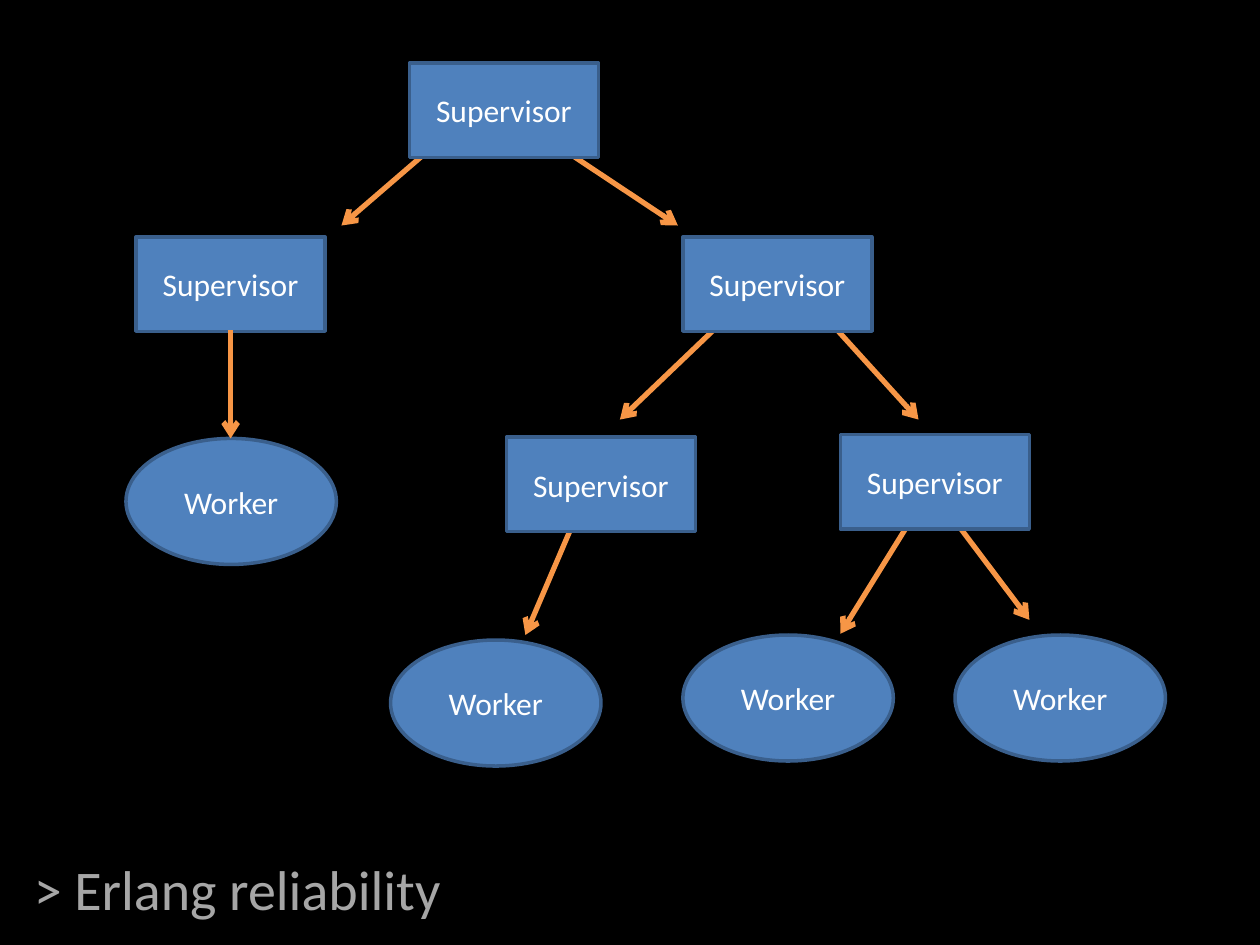
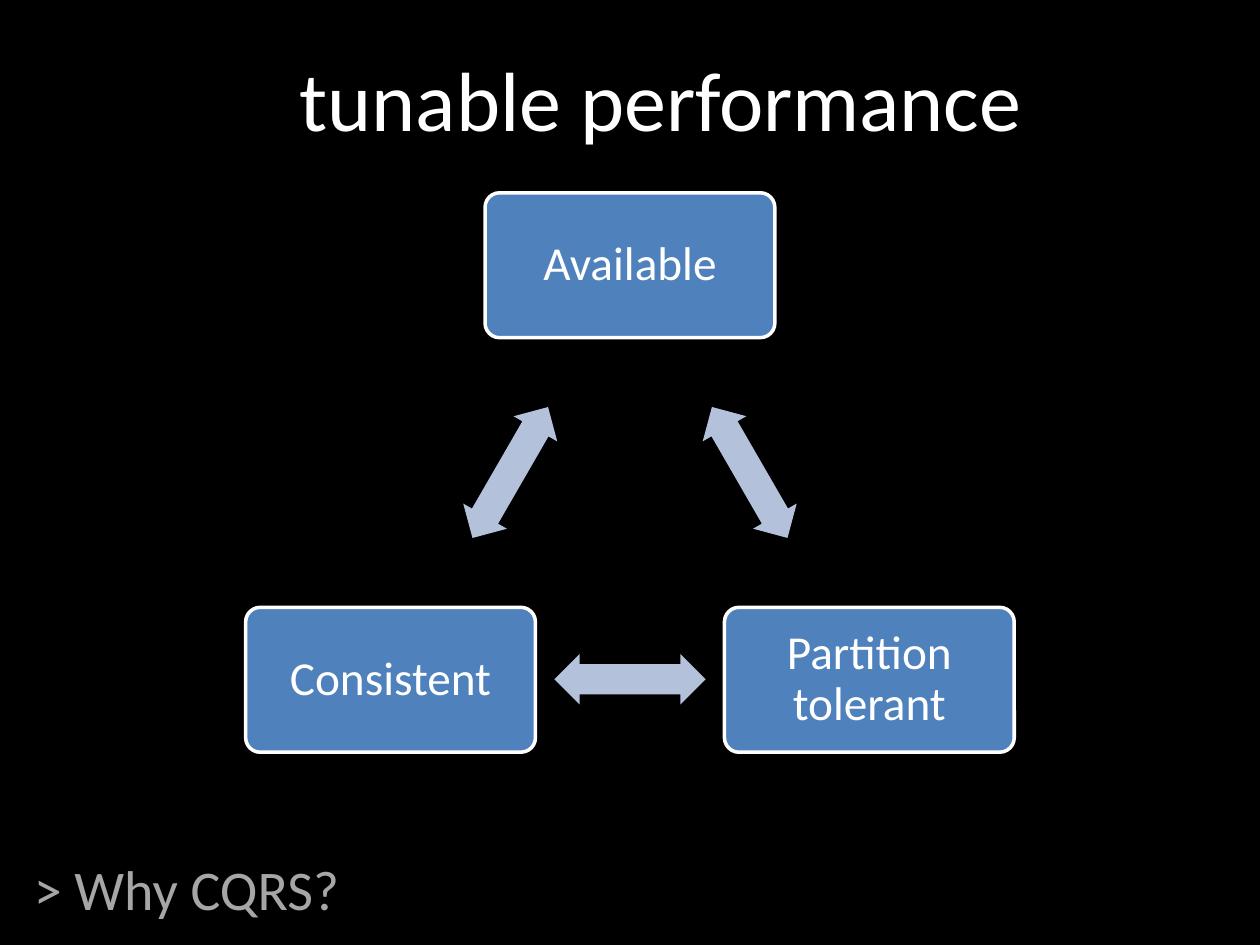
from lxml import etree
from pptx import Presentation
from pptx.dml.color import RGBColor
from pptx.enum.shapes import MSO_CONNECTOR, MSO_SHAPE
from pptx.enum.text import MSO_ANCHOR, PP_ALIGN
from pptx.oxml.ns import qn
from pptx.util import Inches, Pt

RECT, OVAL = MSO_SHAPE.RECTANGLE, MSO_SHAPE.OVAL
ROUND, DOUBLE = MSO_SHAPE.ROUNDED_RECTANGLE, MSO_SHAPE.LEFT_RIGHT_ARROW
LINE = MSO_CONNECTOR.STRAIGHT
MIDDLE, TOP = MSO_ANCHOR.MIDDLE, MSO_ANCHOR.TOP
CENTER, LEFT = PP_ALIGN.CENTER, PP_ALIGN.LEFT

BLACK = RGBColor(0x00, 0x00, 0x00)
WHITE = RGBColor(0xFF, 0xFF, 0xFF)
GREY = RGBColor(0xA6, 0xA6, 0xA6)
BLUE = RGBColor(0x4F, 0x81, 0xBD)
NAVY = RGBColor(0x3A, 0x5F, 0x8C)
PALE = RGBColor(0xB3, 0xC1, 0xDB)
ORANGE = RGBColor(0xF7, 0x96, 0x46)

BOX_SIZE, OVAL_SIZE = (1.5, 0.75), (1.67, 1)
CARD_SIZE, SWAP_SIZE = (2.3, 1.15), (1.2, 0.4)


class Deck:
    """Holds the shared style and the slide being drawn."""

    font = "Calibri"

    def __init__(self):
        self.prs = Presentation()
        self.prs.slide_width = Inches(10)
        self.prs.slide_height = Inches(7.5)

    def start(self, footer):
        self.slide = self.prs.slides.add_slide(self.prs.slide_layouts[6])
        back = self.slide.background.fill
        back.solid()
        back.fore_color.rgb = BLACK
        self.label(footer, (0.17, 6.67, 9.67, 0.75), 32, GREY)

    def set_text(self, shape, text, size, color=WHITE, align=CENTER,
                 anchor=MIDDLE, pad=None, spacing=None):
        frame = shape.text_frame
        frame.word_wrap = True
        frame.vertical_anchor = anchor
        if pad is not None:
            for side in ("left", "top", "right", "bottom"):
                setattr(frame, f"margin_{side}", Inches(pad))
        para = frame.paragraphs[0]
        para.alignment = align
        para.line_spacing = spacing
        run = para.add_run()
        run.text = text
        style = {"name": self.font, "size": Pt(size)}
        for name, value in style.items():
            setattr(run.font, name, value)
        run.font.color.rgb = color
        return para

    def label(self, text, spot, size, color, **style):
        box = self.slide.shapes.add_textbox(*map(Inches, spot))
        return self.set_text(box, text, size, color, **{"align": LEFT, **style})

    def shape(self, kind, spot, size, fill, line=None):
        item = self.slide.shapes.add_shape(kind, *map(Inches, spot + size))
        item.shadow.inherit = False
        item.fill.solid()
        item.fill.fore_color.rgb = fill
        if line is None:
            item.line.fill.background()
        else:
            item.line.color.rgb = line
            item.line.width = Pt(2)
        return item

    def node(self, kind, text, spot, size):
        self.set_text(self.shape(kind, spot, size, BLUE, NAVY), text, 18)

    def card(self, text, spot):
        item = self.shape(ROUND, spot, CARD_SIZE, BLUE, WHITE)
        item.adjustments[0] = 0.1
        self.set_text(item, text, 27, pad=0.11, spacing=0.9)

    def swap(self, spot, angle):
        """Add a two-headed block arrow."""
        item = self.shape(DOUBLE, spot, SWAP_SIZE, PALE)
        item.adjustments[0] = 0.6
        item.adjustments[1] = 0.5
        item.rotation = angle

    def arrow(self, start, end):
        item = self.slide.shapes.add_connector(LINE, *map(Inches, start + end))
        item.line.color.rgb = ORANGE
        item.line.width = Pt(3)
        props = item._element.spPr
        etree.SubElement(props.find(qn("a:ln")), qn("a:tailEnd"), type="arrow")
        etree.SubElement(props, qn("a:effectLst"))


def draw_tree(deck):
    deck.start("> Erlang reliability")
    # These arrows tuck under the boxes they leave.
    for start, end in (
        ((3.58, 1.04), (2.71, 1.79)), ((4.25, 1.04), (5.38, 1.79)),
        ((5.83, 2.46), (4.92, 3.33)), ((6.5, 2.46), (7.29, 3.33)),
        ((4.58, 4.08), (4.17, 5.04)),
        ((7.29, 4.03), (6.67, 5.03)), ((7.5, 4.03), (8.17, 4.92)),
    ):
        deck.arrow(start, end)
    for spot in ((3.25, 0.5), (1.08, 1.88), (5.42, 1.88), (4.02, 3.47), (6.67, 3.45)):
        deck.node(RECT, "Supervisor", spot, BOX_SIZE)
    for spot in ((1, 3.48), (3.1, 5.08), (5.42, 5.04), (7.58, 5.04)):
        deck.node(OVAL, "Worker", spot, OVAL_SIZE)
    deck.arrow((1.83, 2.62), (1.83, 3.48))


def draw_cycle(deck):
    deck.start("> Why CQRS?")
    title = deck.label("tunable performance", (0.83, 0.33, 8.33, 0.91), 48, WHITE,
                       align=CENTER, anchor=TOP)
    title._p.get_or_add_pPr().set("marL", str(Inches(0.5)))
    for text, spot in (
        ("Available", (3.85, 1.53)),
        ("Partition tolerant", (5.75, 4.82)),
        ("Consistent", (1.95, 4.82)),
    ):
        deck.card(text, spot)
    for spot, angle in (((5.35, 3.55), 60), ((4.4, 5.19), 180), ((3.45, 3.55), 300)):
        deck.swap(spot, angle)


def main():
    deck = Deck()
    draw_tree(deck)
    draw_cycle(deck)
    deck.prs.save("out.pptx")


if __name__ == "__main__":
    main()
